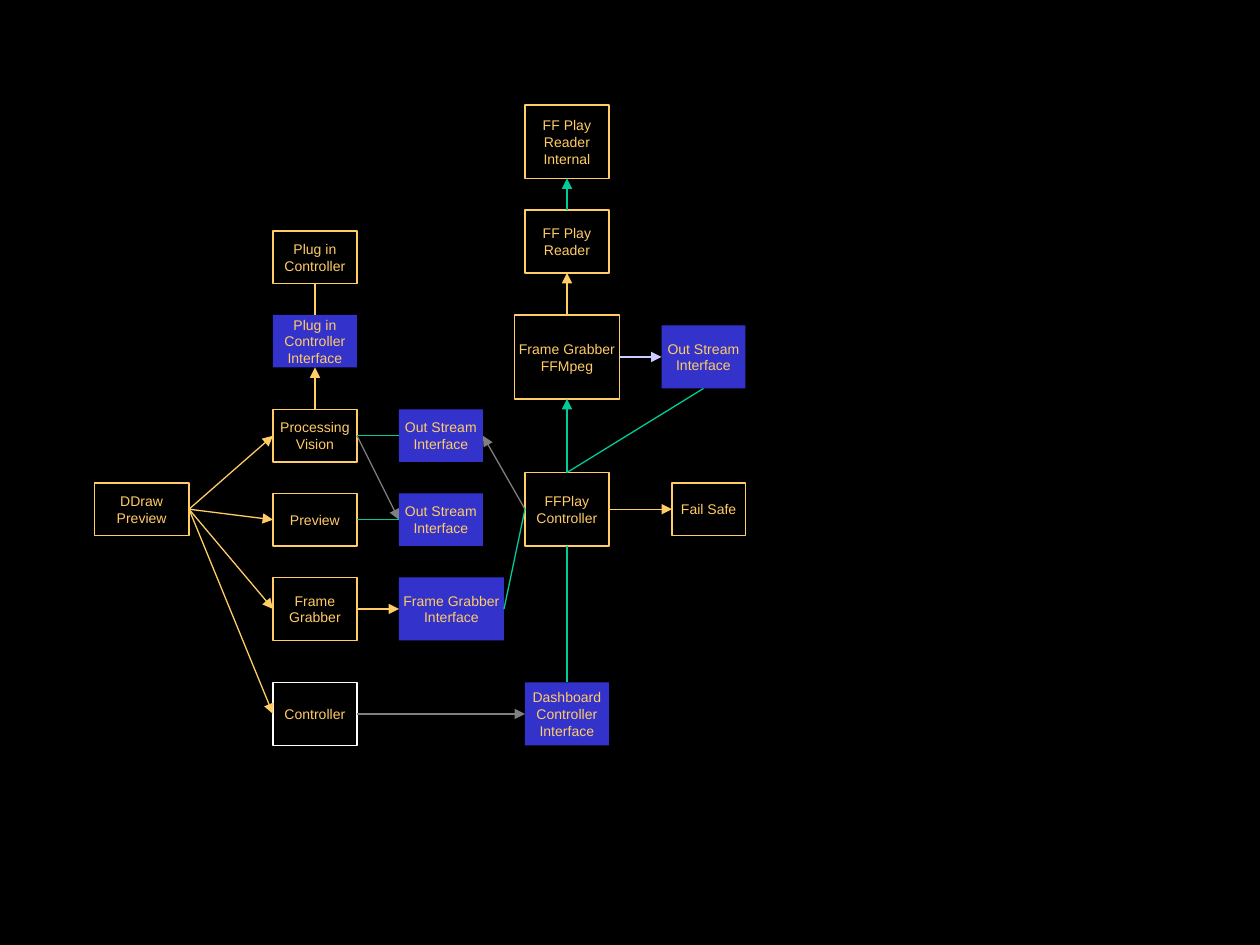
from dataclasses import dataclass

from lxml import etree
from pptx import Presentation
from pptx.dml.color import RGBColor
from pptx.enum.shapes import MSO_CONNECTOR, MSO_SHAPE
from pptx.enum.text import MSO_ANCHOR, PP_ALIGN
from pptx.oxml.ns import qn
from pptx.util import Emu, Pt

RECT = MSO_SHAPE.RECTANGLE
LINE = MSO_CONNECTOR.STRAIGHT
MID = MSO_ANCHOR.MIDDLE
CENTER = PP_ALIGN.CENTER
TOP, LEFT, LOW, RIGHT = range(4)  # connection sites of a rectangle
SCALE = 9525  # EMU per px, 96 px to the inch


@dataclass(frozen=True)
class Theme:
    back: str = "000000"
    gold: str = "FFCC66"
    blue: str = "3333CC"
    green: str = "00CC99"
    gray: str = "808080"
    lilac: str = "CCCCFF"
    white: str = "FFFFFF"
    font: str = "Arial"
    size: int = 8


def px(n):
    return Emu(n * SCALE)


def rgb(code):
    return RGBColor.from_string(code)


class Chart:
    """Holds the style and the current slide."""

    def __init__(self, slide, theme):
        self.slide = slide
        self.theme = theme
        fill = slide.background.fill
        fill.solid()
        fill.fore_color.rgb = rgb(theme.back)

    def box(self, text, x, y, w, h, line=None, fill=None):
        shape = self.slide.shapes.add_shape(RECT, px(x), px(y), px(w), px(h))
        shape.shadow.inherit = False
        if fill:
            shape.fill.solid()
            shape.fill.fore_color.rgb = rgb(fill)
        else:
            shape.fill.background()
        if line:
            shape.line.color.rgb = rgb(line)
            shape.line.width = px(1)
        else:
            shape.line.fill.background()
        self.label(shape.text_frame, text)
        return shape

    def label(self, frame, text):
        frame.word_wrap = False
        frame.vertical_anchor = MID
        for i, row in enumerate(text.split("\n")):
            para = frame.add_paragraph() if i else frame.paragraphs[0]
            para.alignment = CENTER
            run = para.add_run()
            run.text = row
            run.font.name = self.theme.font
            run.font.size = Pt(self.theme.size)
            run.font.color.rgb = rgb(self.theme.gold)

    def link(self, start, side, end, goal, color, arrow=True):
        wire = self.slide.shapes.add_connector(LINE, 0, 0, 0, 0)
        wire.begin_connect(start, side)
        wire.end_connect(end, goal)
        wire.line.color.rgb = rgb(color)
        wire.line.width = px(1)
        if arrow:
            ln = wire.line._get_or_add_ln()
            etree.SubElement(ln, qn("a:tailEnd"), type="triangle")
        etree.SubElement(wire._element.spPr, qn("a:effectLst"))


def main():
    deck = Presentation()
    deck.slide_width, deck.slide_height = px(960), px(720)
    look = Theme()
    chart = Chart(deck.slides.add_slide(deck.slide_layouts[6]), look)

    # Modules: outlined boxes
    modules = {
        "ddraw": ("DDraw\nPreview", 72, 368, 72, 40),
        "plug": ("Plug in\nController", 208, 176, 64, 40),
        "vision": ("Processing\nVision", 208, 312, 64, 40),
        "view": ("Preview", 208, 376, 64, 40),
        "grab": ("Frame\nGrabber", 208, 440, 64, 48),
        "inner": ("FF Play\nReader\nInternal", 400, 80, 64, 56),
        "reader": ("FF Play\nReader", 400, 160, 64, 48),
        "mpeg": ("Frame Grabber\nFFMpeg", 392, 240, 80, 64),
        "play": ("FFPlay\nController", 400, 360, 64, 56),
        "safe": ("Fail Safe", 512, 368, 56, 40),
    }
    # Interfaces: filled boxes
    faces = {
        "plug_face": ("Plug in\nController\nInterface", 208, 240, 64, 40),
        "out_top": ("Out Stream\nInterface", 304, 312, 64, 40),
        "out_low": ("Out Stream\nInterface", 304, 376, 64, 40),
        "grab_face": ("Frame Grabber\nInterface", 304, 440, 80, 48),
        "out_mpeg": ("Out Stream\nInterface", 504, 248, 64, 48),
        "dash": ("Dashboard\nController\nInterface", 400, 520, 64, 48),
    }
    nodes = {k: chart.box(*v, line=look.gold) for k, v in modules.items()}
    nodes.update((k, chart.box(*v, fill=look.blue)) for k, v in faces.items())
    nodes["control"] = chart.box("Controller", 208, 520, 64, 48, line=look.white)

    # Arrows
    arrows = [
        ("grab", RIGHT, "grab_face", LEFT, look.gold),
        ("mpeg", RIGHT, "out_mpeg", LEFT, look.lilac),
        ("play", TOP, "mpeg", LOW, look.green),
        ("play", LEFT, "out_top", RIGHT, look.gray),
        ("play", RIGHT, "safe", LEFT, look.gold),
        ("vision", RIGHT, "out_low", LEFT, look.gray),
        ("mpeg", TOP, "reader", LOW, look.gold),
        ("reader", TOP, "inner", LOW, look.green),
        ("control", RIGHT, "dash", LEFT, look.gray),
        ("vision", TOP, "plug_face", LOW, look.gold),
    ]
    for goal in ("grab", "vision", "view", "control"):
        arrows.append(("ddraw", RIGHT, goal, LEFT, look.gold))
    for a, side, b, goal, color in arrows:
        chart.link(nodes[a], side, nodes[b], goal, color)

    # Plain lines
    lines = [
        ("view", RIGHT, "out_low", LEFT, look.green),
        ("out_top", LEFT, "vision", RIGHT, look.green),
        ("play", TOP, "out_mpeg", LOW, look.green),
        ("play", LEFT, "grab_face", RIGHT, look.green),
        ("play", LOW, "dash", TOP, look.green),
        ("plug_face", TOP, "plug", LOW, look.gold),
    ]
    for a, side, b, goal, color in lines:
        chart.link(nodes[a], side, nodes[b], goal, color, arrow=False)

    deck.save("out.pptx")


if __name__ == "__main__":
    main()
